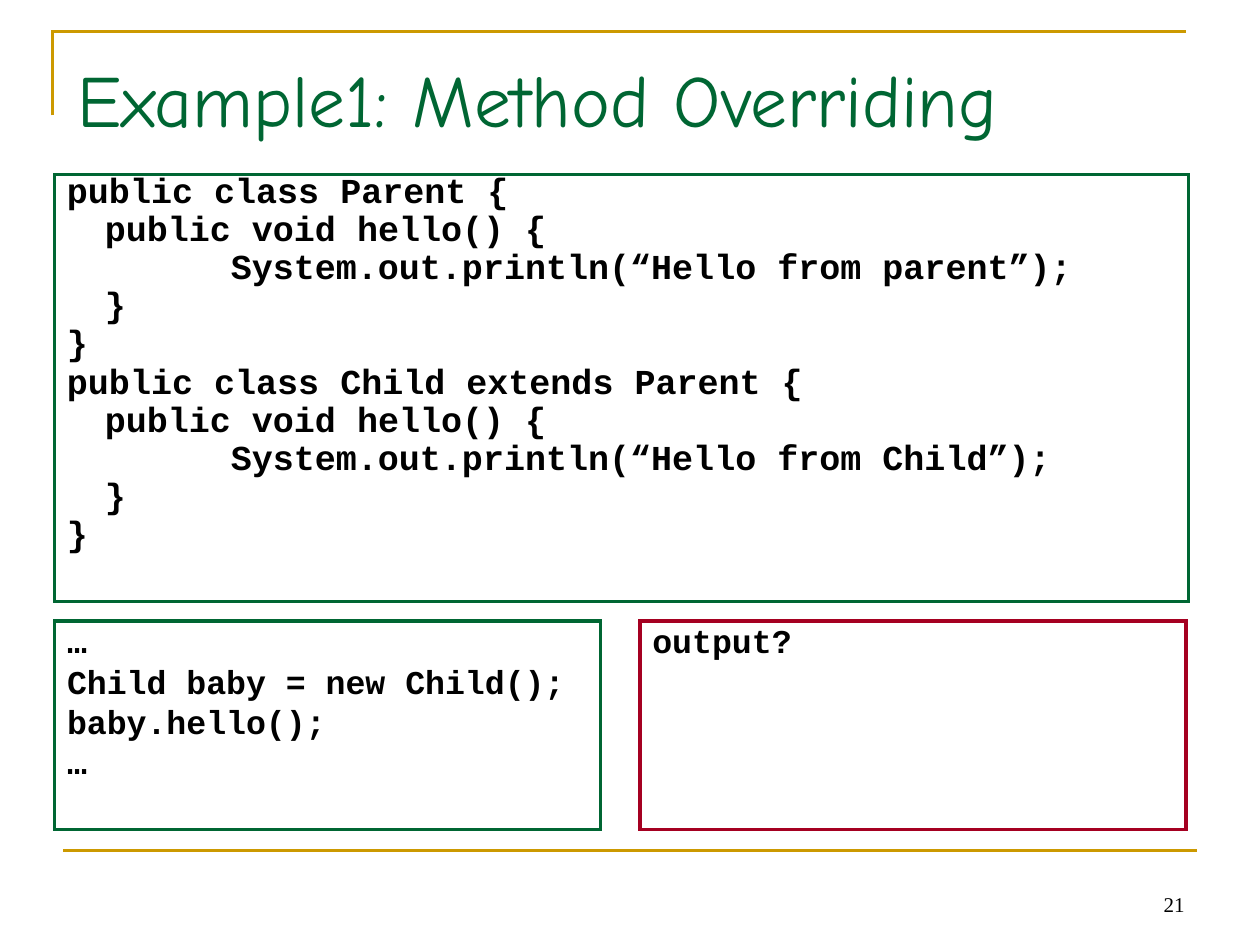
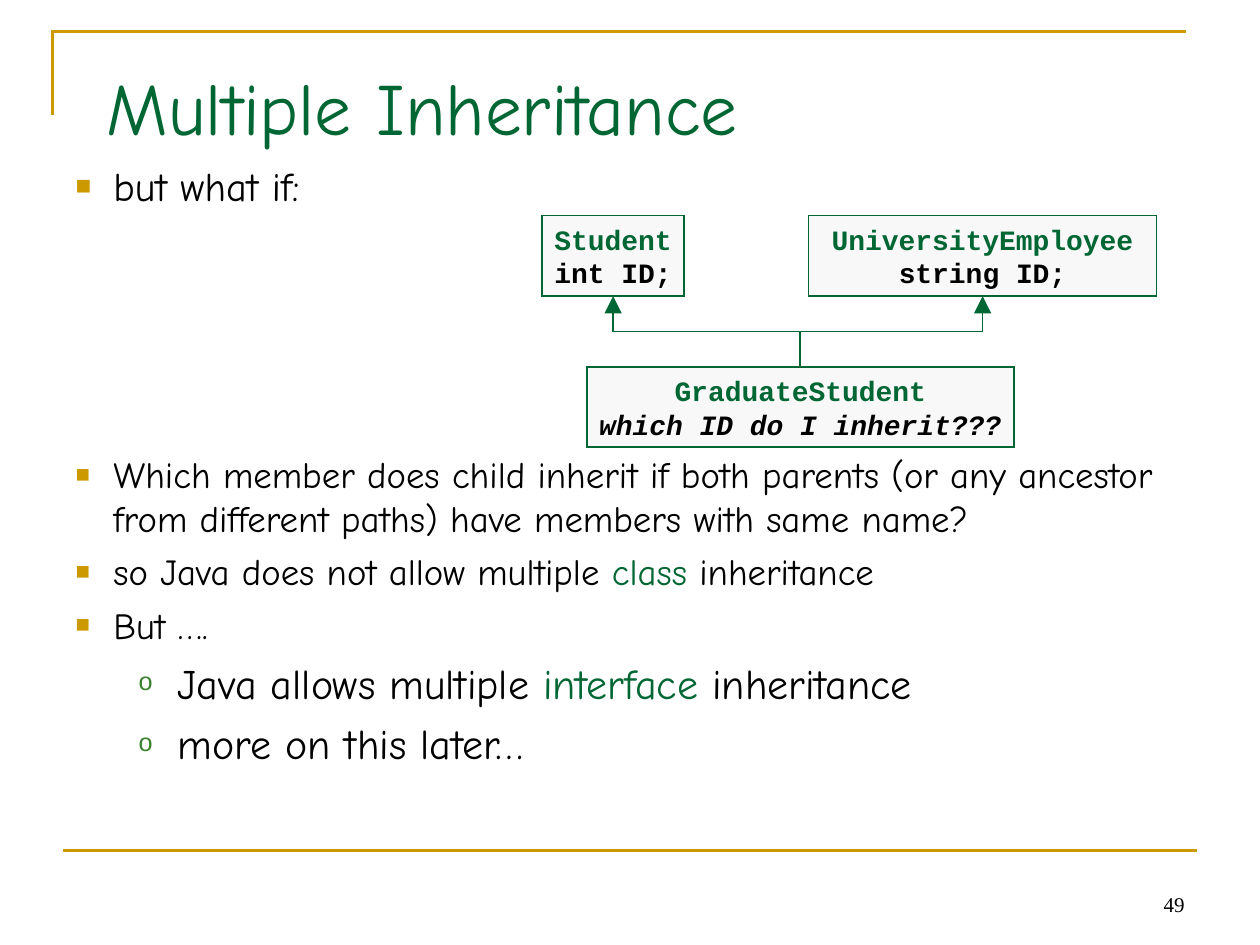
from dataclasses import dataclass

from lxml.etree import SubElement
from pptx import Presentation
from pptx.dml.color import RGBColor
from pptx.enum.shapes import MSO_CONNECTOR as Connector, MSO_SHAPE as Shape
from pptx.enum.text import MSO_ANCHOR as Anchor, MSO_AUTO_SIZE as AutoSize, PP_ALIGN as Align
from pptx.oxml.ns import qn
from pptx.util import Pt

GOLD = RGBColor(0xCC, 0x99, 0x00)
GREEN = RGBColor(0x00, 0x66, 0x33)
LEAF = RGBColor(0x3B, 0x81, 0x2F)
RED = RGBColor(0xA5, 0x00, 0x21)
PALE = RGBColor(0xF8, 0xF8, 0xF8)
BLACK = RGBColor(0, 0, 0)
SANS, MONO, SERIF = "Comic Neue", "Courier New", "Times New Roman"
INCH = 72


@dataclass(frozen=True)
class Area:
    left: float
    top: float
    width: float
    height: float

    @property
    def center(self) -> float:
        return self.left + self.width / 2

    @property
    def bottom(self) -> float:
        return self.top + self.height

    def lengths(self) -> tuple:
        return Pt(self.left), Pt(self.top), Pt(self.width), Pt(self.height)


@dataclass(frozen=True)
class CodePanel:
    area: Area
    color: RGBColor
    size: float
    hanging: float
    line_spacing: float
    space_before: float
    inset: float
    lines: tuple


@dataclass(frozen=True)
class ClassBox:
    area: Area
    name: str
    member: str
    italic: bool = False


@dataclass(frozen=True)
class Level:
    depth: int
    mark: str
    mark_color: RGBColor
    mark_percent: int
    mark_font: str
    margin: float
    hanging: float


@dataclass(frozen=True)
class Item:
    level: Level
    size: float
    space_before: float
    spans: tuple


SQUARE = Level(0, "■", GOLD, 65, "Arial", 21.6, 21.6)
CIRCLE = Level(1, "o", LEAF, 60, "Arial", 58.3, 22.3)

CODE_PANELS = (
    CodePanel(Area(31.2, 99.8, 648, 244), GREEN, 20, 21.6, 0.7, 5, 3, (
        "public class Parent {",
        "\tpublic void hello() {",
        "\t\tSystem.out.println(“Hello from parent”);",
        "\t}",
        "}",
        "public class Child extends Parent {",
        "\tpublic void hello() {",
        "\t\tSystem.out.println(“Hello from Child”);",
        "\t}",
        "}",
    )),
    CodePanel(Area(31.2, 355, 312, 119), GREEN, 19, 27, 0.8, 4.8, 4, (
        "…", "Child baby = new Child();", "baby.hello();", "…",
    )),
    CodePanel(Area(365.7, 355, 312, 119), RED, 19, 27, 0.8, 4.8, 4, ("output?",)),
)

STUDENT = ClassBox(Area(309.6, 123.2, 81.4, 46), "Student", "int ID;")
EMPLOYEE = ClassBox(Area(462, 123.2, 199, 46), "UniversityEmployee", "string ID;")
GRADUATE = ClassBox(Area(335.3, 209.6, 244, 46), "GraduateStudent",
                    "which ID do I inherit???", italic=True)

ITEMS = (
    Item(SQUARE, 23, 0, ("but what if:",)),
    Item(SQUARE, 21, 138.4, (
        "Which member does child inherit if both parents (or any ancestor "
        "from different paths) have members with same name?",)),
    Item(SQUARE, 21, 5.2, ("so Java does not allow multiple ", "class ", "inheritance")),
    Item(SQUARE, 21, 5.2, ("But ….",)),
    Item(CIRCLE, 24, 6, ("Java allows multiple ", "interface ", "inheritance")),
    Item(CIRCLE, 24, 6, ("more on this later…",)),
)


def set_font(font, name: str, size: float, color: RGBColor, bold: bool = False) -> None:
    font.name, font.size, font.bold = name, Pt(size), bold
    font.color.rgb = color


def set_insets(frame, top: float = 3.6, bottom: float = 3.6) -> None:
    frame.margin_left = frame.margin_right = Pt(7.2)
    frame.margin_top, frame.margin_bottom = Pt(top), Pt(bottom)


def set_indent(para, margin: float, hanging: float):
    properties = para._p.get_or_add_pPr()
    properties.set("marL", str(Pt(margin)))
    properties.set("indent", str(-Pt(hanging)))
    return properties


def place(shape, area: Area) -> None:
    shape.left, shape.top, shape.width, shape.height = area.lengths()


def style_line(shape, color: RGBColor, width: float) -> None:
    shape.line.color.rgb = color
    shape.line.width = Pt(width)
    SubElement(shape.line._get_or_add_ln(), qn("a:miter"), lim="800000")


def add_line(page, kind, start: tuple, end: tuple, color: RGBColor, width: float):
    line = page.shapes.add_connector(kind, *map(Pt, start + end))
    style_line(line, color, width)
    SubElement(line._element.spPr, qn("a:effectLst"))
    return line


def add_page(deck, layout: int, title: str, title_area: Area, number: int):
    page = deck.slides.add_slide(deck.slide_layouts[layout])
    builder = page.shapes.build_freeform(Pt(30), Pt(66))
    builder.add_line_segments([(Pt(30), Pt(18)), (Pt(678), Pt(18))], close=False)
    corner = builder.convert_to_shape()
    corner.shadow.inherit = False
    corner.fill.background()
    style_line(corner, GOLD, 1.5)
    add_line(page, Connector.STRAIGHT, (36, 486), (684, 486), GOLD, 1.5)

    heading = page.shapes.title
    place(heading, title_area)
    frame = heading.text_frame
    frame.text = title
    frame.vertical_anchor = Anchor.BOTTOM
    frame.auto_size = AutoSize.NONE
    set_insets(frame, bottom=7.2)
    frame.paragraphs[0].alignment = Align.LEFT
    set_font(frame.paragraphs[0].font, SANS, 42, GREEN)

    footer = page.shapes.add_textbox(*Area(516, 491.6, 168, 36).lengths()).text_frame
    footer.word_wrap = True
    footer.vertical_anchor = Anchor.BOTTOM
    footer.text = str(number)
    footer.paragraphs[0].alignment = Align.RIGHT
    set_font(footer.paragraphs[0].font, SERIF, 12, BLACK)
    return page


def add_box(page, area: Area, color: RGBColor, width: float):
    box = page.shapes.add_shape(Shape.RECTANGLE, *area.lengths())
    box.shadow.inherit = False
    style_line(box, color, width)
    return box


def add_code_panel(page, panel: CodePanel) -> None:
    box = add_box(page, panel.area, panel.color, 2)
    box.fill.background()
    frame = box.text_frame
    frame.word_wrap = True
    frame.vertical_anchor = Anchor.TOP
    set_insets(frame, top=panel.inset)
    frame.text = "\n".join(panel.lines)
    for index, para in enumerate(frame.paragraphs):
        para.alignment = Align.LEFT
        para.line_spacing = panel.line_spacing
        para.space_before = Pt(panel.space_before if index else 0)
        properties = set_indent(para, panel.hanging, panel.hanging)
        properties.set("defTabSz", str(Pt(INCH)))
        tabs = SubElement(properties, qn("a:tabLst"))
        for stop in (panel.hanging, panel.hanging + INCH):
            SubElement(tabs, qn("a:tab"), pos=str(Pt(stop)), algn="l")
        set_font(para.font, MONO, panel.size, BLACK, bold=True)


def add_class_box(page, item: ClassBox) -> None:
    box = add_box(page, item.area, GREEN, 1)
    box.fill.solid()
    box.fill.fore_color.rgb = PALE
    frame = box.text_frame
    frame.word_wrap = False
    frame.vertical_anchor = Anchor.MIDDLE
    set_insets(frame)
    frame.text = f"{item.name}\n{item.member}"
    for para, color in zip(frame.paragraphs, (GREEN, BLACK)):
        para.alignment = Align.CENTER
        set_font(para.font, MONO, 16, color, bold=True)
    frame.paragraphs[1].font.italic = item.italic


def add_inheritance(page, parent: Area, child: Area) -> None:
    middle_x = (parent.center + child.center) / 2
    middle_y = (parent.bottom + child.top) / 2
    spread = abs(parent.center - child.center) / 2
    drop = (child.top - parent.bottom) / 2
    parent_on_right = parent.center > child.center
    side = -drop if parent_on_right else drop
    link = add_line(page, Connector.ELBOW, (middle_x + side, middle_y - spread),
                    (middle_x - side, middle_y + spread), GREEN, 1)
    degrees = 90 if parent_on_right else 270
    link._element.spPr.find(qn("a:xfrm")).set("rot", str(degrees * 60000))
    SubElement(link.line._get_or_add_ln(), qn("a:headEnd"), type="triangle", w="lg", len="lg")


def add_list(page, area: Area, items: tuple) -> None:
    body = page.placeholders[1]
    place(body, area)
    frame = body.text_frame
    frame.auto_size = AutoSize.NONE
    set_insets(frame, top=3.8)
    for index, item in enumerate(items):
        para = frame.add_paragraph() if index else frame.paragraphs[0]
        level = item.level
        para.level = level.depth
        para.space_before = Pt(item.space_before)
        properties = set_indent(para, level.margin, level.hanging)
        color = SubElement(properties, qn("a:buClr"))
        SubElement(color, qn("a:srgbClr"), val=str(level.mark_color))
        SubElement(properties, qn("a:buSzPct"), val=str(level.mark_percent * 1000))
        SubElement(properties, qn("a:buFont"), typeface=level.mark_font)
        SubElement(properties, qn("a:buChar"), char=level.mark)
        set_font(para.font, SANS, item.size, BLACK)
        for position, text in enumerate(item.spans):
            span = para.add_run()
            span.text = text
            if position == 1:
                span.font.color.rgb = GREEN


def main() -> None:
    deck = Presentation()
    deck.slide_width, deck.slide_height = Pt(10 * INCH), Pt(7.5 * INCH)

    overriding = add_page(deck, 5, "Example1: Method Overriding", Area(37, 20, 612, 68.5), 21)
    for panel in CODE_PANELS:
        add_code_panel(overriding, panel)

    inheritance = add_page(deck, 1, "Multiple Inheritance", Area(53.8, 26, 612, 67), 49)
    add_list(inheritance, Area(36, 88.5, 648, 394), ITEMS)
    for item in (GRADUATE, EMPLOYEE, STUDENT):
        add_class_box(inheritance, item)
    for parent in (EMPLOYEE, STUDENT):
        add_inheritance(inheritance, parent.area, GRADUATE.area)

    deck.save("out.pptx")


if __name__ == "__main__":
    main()
